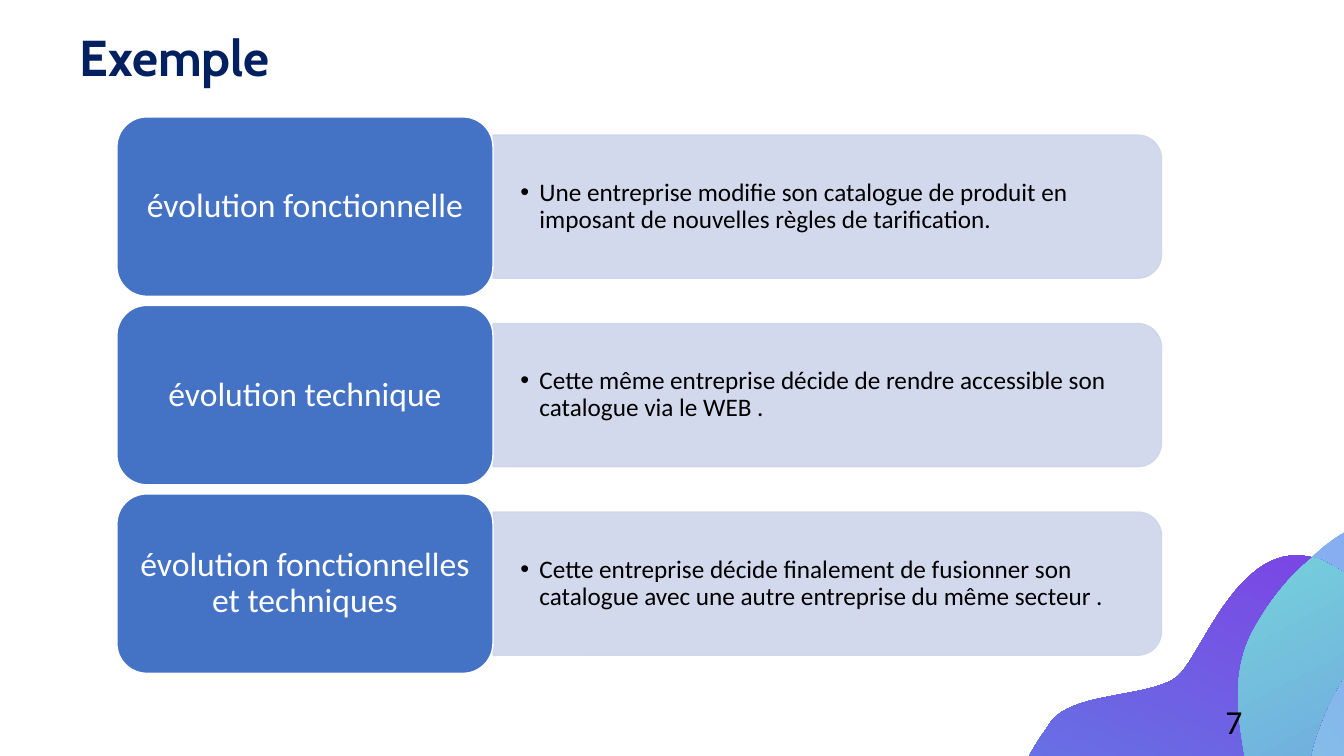
from copy import deepcopy
from dataclasses import dataclass
from math import cos, radians, sin

from lxml.etree import SubElement
from pptx import Presentation
from pptx.dml.color import RGBColor
from pptx.enum.shapes import MSO_SHAPE as Preset
from pptx.enum.text import MSO_ANCHOR as Anchor, MSO_AUTO_SIZE as AutoSize, PP_ALIGN as Align
from pptx.oxml.ns import qn
from pptx.util import Emu, Inches, Pt

Point = tuple[float, float]
Stop = tuple[float, str]


@dataclass(frozen=True)
class Theme:
    heading_font: str = "Cabin"
    body_font: str = "Calibri"
    navy: str = "002060"
    blue: str = "4472C4"
    pale: str = "CFD5EA"
    white: str = "FFFFFF"
    black: str = "000000"
    title_size: int = 36
    label_size: int = 24
    body_size: int = 18


@dataclass(frozen=True)
class Evolution:
    label: str
    detail: str


@dataclass(frozen=True)
class Wave:
    start: Point
    curves: tuple[tuple[float, ...], ...]
    stops: tuple[Stop, ...]
    angle: float


@dataclass(frozen=True)
class Grid:
    left: float = 1.16
    top: float = 1.16
    pitch: float = 1.87
    label_width: float = 3.73
    label_height: float = 1.78
    panel_width: float = 6.63
    panel_height: float = 1.42
    detail_width: float = 6.56
    detail_height: float = 1.28


THEME = Theme()
GRID = Grid()
TILT = 52.2

EVOLUTIONS = (
    Evolution("évolution fonctionnelle",
              "Une entreprise modifie son catalogue de produit en imposant de nouvelles règles de tarification."),
    Evolution("évolution technique",
              "Cette même entreprise décide de rendre accessible son catalogue via le WEB ."),
    Evolution("évolution fonctionnelles et techniques",
              "Cette entreprise décide finalement de fusionner son catalogue avec une autre entreprise du même secteur ."),
)

WAVES = (
    Wave((11.34, 9.4), (
        (13.57, 8.54, 11.91, 7.23, 12.59, 6.08), (13.28, 4.93, 14.05, 5.07, 14.27, 5.3),
        (14.49, 5.53, 14.54, 5.77, 14.21, 6.16), (13.87, 6.54, 14.55, 7.28, 15.02, 7.79),
        (15.48, 8.29, 15.65, 9.43, 14.54, 9.66), (13.43, 9.88, 13.49, 9.86, 12.94, 10.76),
        (12.41, 11.65, 11.76, 11.62, 11.76, 11.62), (11.76, 11.62, 10.69, 11.5, 10.55, 10.62),
        (10.4, 9.73, 11.34, 9.4, 11.34, 9.4),
    ), ((0, "80DEDE"), (0.54, "85C1E7"), (1, "878CFF")), 90),
    Wave((10.1, 10.76), (
        (10.1, 10.76, 10.48, 11.63, 12.11, 11.07), (13.74, 10.51, 13.29, 8.9, 13.12, 8.33),
        (12.94, 7.76, 12.92, 7.61, 13.15, 7.05), (13.38, 6.5, 13.99, 6, 13.17, 5.59),
        (12.35, 5.18, 11.94, 6.47, 11.69, 6.7), (11.44, 6.93, 10.62, 6.85, 10.41, 7.18),
        (10.19, 7.52, 9.89, 7.79, 10.31, 8.97), (10.31, 8.97, 10.67, 9.51, 10.16, 10.14),
        (10.16, 10.14, 9.88, 10.51, 10.1, 10.76),
    ), ((0, "7CEFD8"), (0.51, "6672E4"), (1, "882BE5")), 120),
    Wave((12.11, 11.07), (
        (11.37, 11.32, 10.89, 11.28, 10.58, 11.17), (10.5, 11.05, 10.44, 10.91, 10.41, 10.74),
        (10.27, 9.85, 11.21, 9.53, 11.21, 9.53), (13.44, 8.66, 11.77, 7.35, 12.46, 6.2),
        (12.64, 5.89, 12.83, 5.68, 13.02, 5.53), (13.07, 5.54, 13.12, 5.56, 13.17, 5.59),
        (13.99, 6, 13.38, 6.5, 13.15, 7.05), (12.92, 7.6, 12.94, 7.76, 13.12, 8.33),
        (13.29, 8.9, 13.74, 10.51, 12.11, 11.07),
    ), ((0, "882BE5"), (0.19, "6672E4"), (1, "7CEFD8")), 170),
)


def write(shape, text: str, *, size: int, color: str, font: str = THEME.body_font,
          bold: bool = False, align=Align.LEFT, anchor=Anchor.MIDDLE, spacing=None,
          insets: Point = (0.1, 0.05), bullet: bool = False) -> None:
    box = shape.text_frame
    box.word_wrap, box.auto_size, box.vertical_anchor = True, AutoSize.NONE, anchor
    box.margin_left = box.margin_right = Inches(insets[0])
    box.margin_top = box.margin_bottom = Inches(insets[1])
    para = box.paragraphs[0]
    para.alignment, para.line_spacing = align, spacing
    para.space_before = Pt(0)
    span = para.add_run()
    span.text = text
    span.font.name, span.font.size, span.font.bold = font, Pt(size), bold
    span.font.color.rgb = RGBColor.from_string(color)
    if bullet:
        settings = para._p.get_or_add_pPr()
        settings.set("marL", str(Inches(0.19)))
        settings.set("indent", str(-Inches(0.19)))
        SubElement(settings, qn("a:buFont")).set("typeface", "Arial")
        SubElement(settings, qn("a:buChar")).set("char", "•")


def place(shape, left: float, top: float, width: float, height: float) -> None:
    shape.left, shape.top = Inches(left), Inches(top)
    shape.width, shape.height = Inches(width), Inches(height)


def add_block(page, preset, left: float, top: float, width: float, height: float,
              fill: str, line: str):
    block = page.shapes.add_shape(preset, *map(Inches, (left, top, width, height)))
    block.shadow.inherit = False
    block.fill.solid()
    block.fill.fore_color.rgb = RGBColor.from_string(fill)
    block.line.color.rgb = RGBColor.from_string(line)
    block.line.width = Pt(1)
    return block


def turn(point: Point, degrees: float) -> Point:
    angle = radians(degrees)
    x, y = point
    return x * cos(angle) - y * sin(angle), x * sin(angle) + y * cos(angle)


def bend(shape) -> None:
    lines = list(shape._element.spPr.iter(qn("a:lnTo")))
    for first in range(0, len(lines), 3):
        curve = lines[first].makeelement(qn("a:cubicBezTo"))
        lines[first].addprevious(curve)
        for line in lines[first:first + 3]:
            curve.append(line[0])
            line.getparent().remove(line)


def add_wave(page, wave: Wave) -> None:
    points = [wave.start] + [curve[i:i + 2] for curve in wave.curves for i in (0, 2, 4)]
    corners = [tuple(map(Inches, turn(point, -TILT))) for point in points]
    builder = page.shapes.build_freeform(*corners[0])
    builder.add_line_segments(corners[1:], close=True)
    shape = builder.convert_to_shape()
    bend(shape)
    center = turn((shape.left + shape.width / 2, shape.top + shape.height / 2), TILT)
    shape.left = Emu(round(center[0] - shape.width / 2))
    shape.top = Emu(round(center[1] - shape.height / 2))
    shape.rotation = TILT
    shape.shadow.inherit = False
    shape.line.fill.background()
    shape.fill.gradient()
    shape.fill.gradient_angle = wave.angle
    stop_list = shape._element.spPr.find(".//" + qn("a:gsLst"))
    stop_list.append(deepcopy(stop_list[-1]))
    for stop, (position, color) in zip(shape.fill.gradient_stops, wave.stops):
        stop.position = position
        stop.color.rgb = RGBColor.from_string(color)


def add_evolution(page, row: int, evolution: Evolution, detail) -> None:
    top = GRID.top + row * GRID.pitch
    middle = top + GRID.label_height / 2
    seam = GRID.left + GRID.label_width
    panel = add_block(page, Preset.ROUND_2_SAME_RECTANGLE,
                      seam + (GRID.panel_width - GRID.panel_height) / 2, middle - GRID.panel_width / 2,
                      GRID.panel_height, GRID.panel_width, THEME.pale, THEME.pale)
    panel.rotation = 90
    for color in panel._element.spPr.iter(qn("a:srgbClr")):
        SubElement(color, qn("a:alpha")).set("val", "90000")
    place(detail, seam, middle - GRID.detail_height / 2, GRID.detail_width, GRID.detail_height)
    write(detail, evolution.detail, size=THEME.body_size, color=THEME.black, spacing=0.9,
          insets=(0.27, 0.14), bullet=True)
    page.shapes._spTree.append(detail._element)
    label = add_block(page, Preset.ROUNDED_RECTANGLE, GRID.left, top, GRID.label_width,
                      GRID.label_height, THEME.blue, THEME.white)
    write(label, evolution.label, size=THEME.label_size, color=THEME.white,
          align=Align.CENTER, spacing=0.9)


def main() -> None:
    """Build the slide of three kinds of evolution and save it."""
    deck = Presentation()
    deck.slide_width, deck.slide_height = Inches(13.33), Inches(7.5)
    page = deck.slides.add_slide(deck.slide_layouts.get_by_name("Comparison"))
    title, *details, spare = page.placeholders
    spare._element.getparent().remove(spare._element)
    place(title, 0.79, 0.3, 5.99, 0.56)
    write(title, "Exemple", size=THEME.title_size, color=THEME.navy, font=THEME.heading_font,
          bold=True, anchor=Anchor.TOP, spacing=Pt(40), insets=(0, 0))
    for wave in WAVES:
        add_wave(page, wave)
    for row, (evolution, detail) in enumerate(zip(EVOLUTIONS, details)):
        add_evolution(page, row, evolution, detail)
    number = page.shapes.add_textbox(*map(Inches, (9.42, 6.95, 3, 0.4)))
    write(number, "7", size=THEME.label_size, color=THEME.black, align=Align.RIGHT)
    deck.save("out.pptx")


if __name__ == "__main__":
    main()
